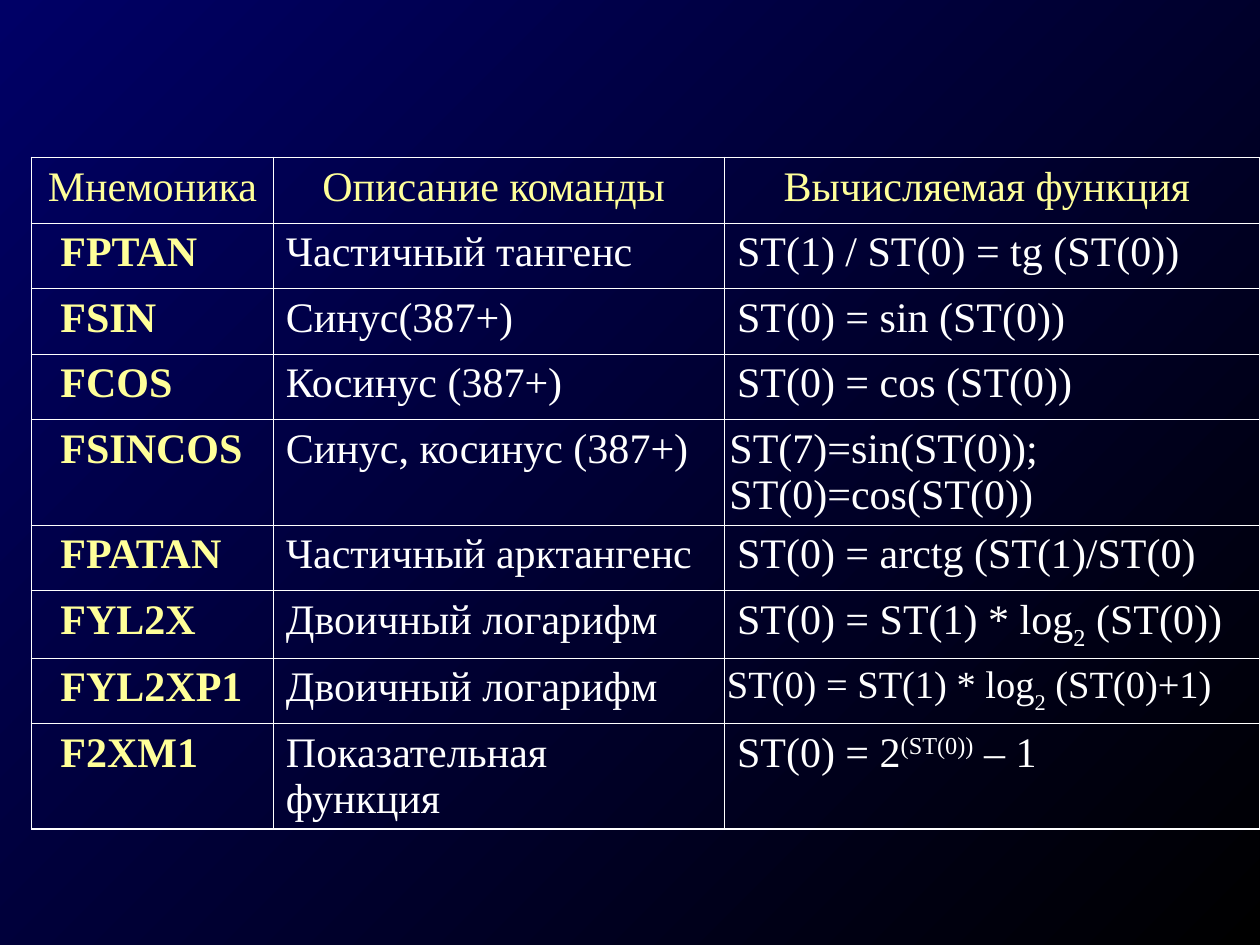
from dataclasses import dataclass

from lxml.etree import SubElement
from pptx import Presentation
from pptx.dml.color import RGBColor
from pptx.enum.text import PP_ALIGN
from pptx.oxml.ns import qn
from pptx.util import Inches, Pt


@dataclass(frozen=True)
class Theme:
    """Colours, type and line weights of the slide."""
    font: str = "Times New Roman"
    size: int = 24
    small_size: int = 22
    accent: str = "FFFF99"
    text: str = "FFFFFF"
    border: str = "FFFFFF"
    sky_top: str = "000066"
    sky_bottom: str = "000000"
    outer_line: float = 1.08
    inner_line: float = 0.45


THEME = Theme()
SUB, SUP = -30, 30
COLUMN_WIDTHS = (1.92, 3.58, 4.25)
ROW_HEIGHT, TALL_ROW_HEIGHT = 0.52, 0.8
SIDE_INSET, MNEMONIC_INSET = 0.1, 0.23

HEADINGS = ("Мнемоника ", "Описание команды ", "Вычисляемая функция ")
COMMANDS = (
    ("FPTAN", "Частичный тангенс", "ST(1) / ST(0) = tg (ST(0))"),
    ("FSIN", "Синус(387+)", "ST(0) = sin (ST(0))"),
    ("FCOS", "Косинус (387+)", "ST(0) = cos (ST(0))"),
    ("FSINCOS", "Синус, косинус (387+)", "ST(7)=sin(ST(0)); ST(0)=cos(ST(0))"),
    ("FPATAN", "Частичный арктангенс", "ST(0) = arctg (ST(1)/ST(0)"),
    ("FYL2X", "Двоичный логарифм",
     (("ST(0) = ST(1) * log", 0), ("2", SUB), (" (ST(0))", 0))),
    ("FYL2XP1", "Двоичный логарифм",
     (("ST(0) = ST(1) * log", 0), ("2", SUB), (" (ST(0)+1)", 0))),
    ("F2XM1", "Показательная функция",
     (("ST(0) = 2", 0), ("(ST(0))", SUP), (" – 1", 0))),
)
FORMULA_INSETS = {"FSINCOS": 0.04, "FYL2XP1": 0.02}
FORMULA_SIZES = {"FYL2XP1": THEME.small_size}
ROW_HEIGHTS = {"FSINCOS": TALL_ROW_HEIGHT}


def paint_background(slide):
    """Fill the slide with a diagonal gradient."""
    fill = slide.background.fill
    fill.gradient()
    fill.gradient_angle = 315
    for stop, color in zip(fill.gradient_stops, (THEME.sky_top, THEME.sky_bottom)):
        stop.color.rgb = RGBColor.from_string(color)


def draw_borders(cell, outer_sides):
    """Line all four sides of a cell, heavier on the table's outer sides."""
    properties = cell._tc.get_or_add_tcPr()
    for side in "LRTB":
        weight = THEME.outer_line if side in outer_sides else THEME.inner_line
        line = SubElement(properties, qn(f"a:ln{side}"), w=str(Pt(weight)))
        fill = SubElement(line, qn("a:solidFill"))
        SubElement(fill, qn("a:srgbClr"), val=THEME.border)


def write_cell(cell, content, color, size=THEME.size, bold=False,
               align=PP_ALIGN.LEFT, left=SIDE_INSET, right=SIDE_INSET):
    """Write plain text or (text, baseline) fragments into a cell."""
    cell.margin_left, cell.margin_right = Inches(left), Inches(right)
    cell.margin_top = cell.margin_bottom = Inches(0.05)
    cell.fill.background()
    paragraph = cell.text_frame.paragraphs[0]
    paragraph.alignment = align
    paragraph.space_before = Pt(6)
    font = paragraph.font
    font.name, font.size, font.bold = THEME.font, Pt(size), bold
    font.color.rgb = RGBColor.from_string(color)
    fragments = ((content, 0),) if isinstance(content, str) else content
    for text, baseline in fragments:
        run = paragraph.add_run()
        run.text = text
        if baseline:
            run._r.get_or_add_rPr().set("baseline", str(baseline * 1000))


def write_command(cells, command):
    """Write one command's mnemonic, description and formula."""
    mnemonic, description, formula = command
    inset = FORMULA_INSETS.get(mnemonic, SIDE_INSET)
    write_cell(cells[0], mnemonic, THEME.accent, bold=True, left=MNEMONIC_INSET)
    write_cell(cells[1], description, THEME.text)
    write_cell(cells[2], formula, THEME.text, left=inset, right=inset,
               size=FORMULA_SIZES.get(mnemonic, THEME.size))


def add_command_table(slide):
    """Add the table of transcendental commands."""
    heights = [ROW_HEIGHT] + [ROW_HEIGHTS.get(c[0], ROW_HEIGHT) for c in COMMANDS]
    table = slide.shapes.add_table(
        len(heights), len(COLUMN_WIDTHS), Inches(0.25), Inches(1.25),
        Inches(sum(COLUMN_WIDTHS)), Inches(sum(heights))).table
    table.first_row = table.horz_banding = False
    for column, width in zip(table.columns, COLUMN_WIDTHS):
        column.width = Inches(width)
    last_row, last_column = len(heights) - 1, len(COLUMN_WIDTHS) - 1
    for r, height in enumerate(heights):
        table.rows[r].height = Inches(height)
        for c in range(len(COLUMN_WIDTHS)):
            edges = {"L": c == 0, "R": c == last_column, "T": r == 0, "B": r == last_row}
            draw_borders(table.cell(r, c), [side for side in edges if edges[side]])
    for cell, heading in zip(table.rows[0].cells, HEADINGS):
        write_cell(cell, heading, THEME.accent, align=PP_ALIGN.CENTER)
    for r, command in enumerate(COMMANDS, start=1):
        write_command(list(table.rows[r].cells), command)


def main():
    """Build and save the slide."""
    deck = Presentation()
    deck.slide_width, deck.slide_height = Inches(10), Inches(7.5)
    slide = deck.slides.add_slide(deck.slide_layouts[6])
    paint_background(slide)
    add_command_table(slide)
    deck.save("out.pptx")


if __name__ == "__main__":
    main()
